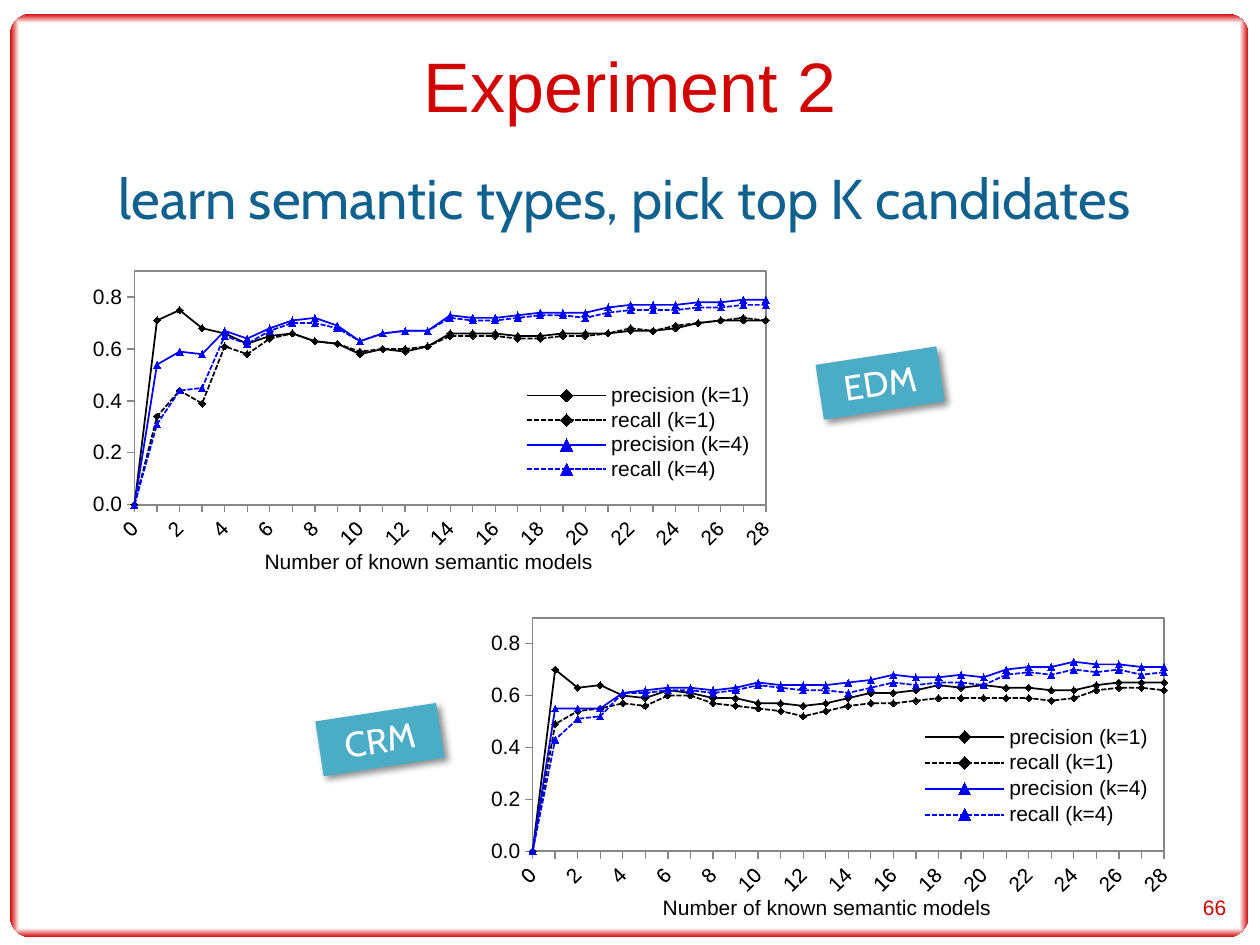
from lxml import etree
from pptx import Presentation
from pptx.chart.data import CategoryChartData
from pptx.dml.color import RGBColor
from pptx.enum.chart import XL_CHART_TYPE, XL_LEGEND_POSITION, XL_MARKER_STYLE, XL_TICK_MARK
from pptx.enum.dml import MSO_LINE
from pptx.enum.shapes import MSO_SHAPE
from pptx.enum.text import MSO_ANCHOR, PP_ALIGN
from pptx.oxml.ns import qn
from pptx.util import Inches, Pt

RED, BLUE, BLACK, WHITE, GRAY = "D10202", "0000FF", "000000", "FFFFFF", "868686"
MODEL_COUNTS = [float(count) for count in range(29)]
SERIES_STYLES = [  # name, colour, marker, dash
    ("precision (k=1)", BLACK, XL_MARKER_STYLE.DIAMOND, MSO_LINE.SOLID),
    ("recall (k=1)", BLACK, XL_MARKER_STYLE.DIAMOND, MSO_LINE.SQUARE_DOT),
    ("precision (k=4)", BLUE, XL_MARKER_STYLE.TRIANGLE, MSO_LINE.SOLID),
    ("recall (k=4)", BLUE, XL_MARKER_STYLE.TRIANGLE, MSO_LINE.SQUARE_DOT),
]
EDM_SCORES = [
    [0, 0.71, 0.75, 0.68, 0.66, 0.62, 0.65, 0.66, 0.63, 0.62, 0.58, 0.6, 0.59, 0.61, 0.66,
     0.66, 0.66, 0.65, 0.65, 0.66, 0.66, 0.66, 0.67, 0.67, 0.68, 0.7, 0.71, 0.71, 0.71],
    [0, 0.34, 0.44, 0.39, 0.61, 0.58, 0.64, 0.66, 0.63, 0.62, 0.59, 0.6, 0.6, 0.61, 0.65,
     0.65, 0.65, 0.64, 0.64, 0.65, 0.65, 0.66, 0.68, 0.67, 0.69, 0.7, 0.71, 0.72, 0.71],
    [0, 0.54, 0.59, 0.58, 0.67, 0.64, 0.68, 0.71, 0.72, 0.69, 0.63, 0.66, 0.67, 0.67, 0.73,
     0.72, 0.72, 0.73, 0.74, 0.74, 0.74, 0.76, 0.77, 0.77, 0.77, 0.78, 0.78, 0.79, 0.79],
    [0, 0.31, 0.44, 0.45, 0.65, 0.62, 0.67, 0.7, 0.7, 0.68, 0.63, 0.66, 0.67, 0.67, 0.72,
     0.71, 0.71, 0.72, 0.73, 0.73, 0.72, 0.74, 0.75, 0.75, 0.75, 0.76, 0.76, 0.77, 0.77],
]
CRM_SCORES = [
    [0, 0.7, 0.63, 0.64, 0.6, 0.59, 0.62, 0.61, 0.59, 0.59, 0.57, 0.57, 0.56, 0.57, 0.59,
     0.61, 0.61, 0.62, 0.64, 0.63, 0.64, 0.63, 0.63, 0.62, 0.62, 0.64, 0.65, 0.65, 0.65],
    [0, 0.49, 0.54, 0.55, 0.57, 0.56, 0.6, 0.6, 0.57, 0.56, 0.55, 0.54, 0.52, 0.54, 0.56,
     0.57, 0.57, 0.58, 0.59, 0.59, 0.59, 0.59, 0.59, 0.58, 0.59, 0.62, 0.63, 0.63, 0.62],
    [0, 0.55, 0.55, 0.55, 0.61, 0.62, 0.63, 0.63, 0.62, 0.63, 0.65, 0.64, 0.64, 0.64, 0.65,
     0.66, 0.68, 0.67, 0.67, 0.68, 0.67, 0.7, 0.71, 0.71, 0.73, 0.72, 0.72, 0.71, 0.71],
    [0, 0.43, 0.51, 0.52, 0.61, 0.61, 0.62, 0.62, 0.61, 0.62, 0.64, 0.63, 0.62, 0.62, 0.61,
     0.63, 0.65, 0.64, 0.65, 0.65, 0.64, 0.68, 0.69, 0.68, 0.7, 0.69, 0.7, 0.68, 0.69],
]


def color(hex_string):
    return RGBColor.from_string(hex_string)


def inches(box):
    return [Inches(length) for length in box]


def add_xml(parent, tag, **attributes):
    return etree.SubElement(parent, qn(tag), {key: str(val) for key, val in attributes.items()})


def write(shape, text, size, font="Arial", fill=BLACK, align=PP_ALIGN.CENTER, anchor=MSO_ANCHOR.TOP):
    frame = shape.text_frame
    frame.word_wrap = True
    frame.vertical_anchor = anchor
    paragraph = frame.paragraphs[0]
    paragraph.alignment = align
    run = paragraph.add_run()
    run.text = text
    format_font(run.font, size, font, fill)


def format_font(font, size, name="Arial", fill=BLACK, bold=False):
    font.size, font.name, font.bold = Pt(size), name, bold
    font.color.rgb = color(fill)


def add_frame(slide, box):
    frame = slide.shapes.add_shape(MSO_SHAPE.ROUNDED_RECTANGLE, *inches(box))
    frame.adjustments[0] = 0.023
    frame.shadow.inherit = False
    frame.line.fill.background()
    frame.fill.gradient()
    for stop, position, hex_string in zip(frame.fill.gradient_stops, (0.98, 1), (WHITE, RED)):
        stop.position = position
        stop.color.rgb = color(hex_string)
    # Gradient runs outward from the centre to the edges
    gradient = frame.element.spPr.find(qn("a:gradFill"))
    gradient.remove(gradient.find(qn("a:lin")))
    outward = add_xml(gradient, "a:path", path="rect")
    add_xml(outward, "a:fillToRect", l=50000, t=50000, r=50000, b=50000)


def add_heading(slide, title_box, subtitle_box):
    title = slide.shapes.title
    title.left, title.top, title.width, title.height = inches(title_box)
    write(title, "Experiment 2", 40, fill=RED, anchor=MSO_ANCHOR.MIDDLE)
    subtitle = slide.shapes.add_textbox(*inches(subtitle_box))
    write(subtitle, "learn semantic types, pick top K candidates", 32, "Cabin", "11618F")


def place(part, index, x, y, w=None, h=None, inner=False):
    """Set the manual layout of a chart part as fractions of the chart."""
    for old_layout in part.findall(qn("c:layout")):
        part.remove(old_layout)
    layout = etree.Element(qn("c:layout"))
    manual = add_xml(layout, "c:manualLayout")
    if inner:
        add_xml(manual, "c:layoutTarget", val="inner")
    add_xml(manual, "c:xMode", val="edge")
    add_xml(manual, "c:yMode", val="edge")
    for key, value in (("x", x), ("y", y), ("w", w), ("h", h)):
        if value is not None:
            add_xml(manual, f"c:{key}", val=value)
    part.insert(index, layout)


def format_axes(chart):
    counts, scores = chart.category_axis, chart.value_axis
    for axis, number_format in ((counts, "0"), (scores, "0.0")):
        axis.major_tick_mark = XL_TICK_MARK.OUTSIDE
        axis.has_major_gridlines = False
        axis.format.line.color.rgb = color(GRAY)
        axis.tick_labels.number_format = number_format
        axis.tick_labels.number_format_is_linked = False
        format_font(axis.tick_labels.font, 12)
    scores.minimum_scale, scores.maximum_scale, scores.major_unit = 0, 0.9, 0.2

    counts.has_title = True
    caption = counts.axis_title.text_frame.paragraphs[0].add_run()
    caption.text = "Number of known semantic models"
    format_font(caption.font, 12)
    place(counts.axis_title._element, 1, 0.25, 0.9)

    # Slanted label on every second count, first point on the value axis
    counts_xml, scores_xml = counts._element, scores._element
    counts_xml.find(qn("c:txPr")).find(qn("a:bodyPr")).set("rot", "-2700000")
    skip = etree.Element(qn("c:tickLblSkip"), val="2")
    counts_xml.find(qn("c:noMultiLvlLbl")).addprevious(skip)
    for old_crossing in scores_xml.findall(qn("c:crossBetween")):
        scores_xml.remove(old_crossing)
    scores_xml.find(qn("c:crosses")).addnext(etree.Element(qn("c:crossBetween"), val="midCat"))


def add_score_chart(slide, box, scores, legend_box):
    data = CategoryChartData(number_format="0.0")
    data.categories = MODEL_COUNTS
    for (name, *_), values in zip(SERIES_STYLES, scores):
        data.add_series(name, values)
    chart = slide.shapes.add_chart(XL_CHART_TYPE.LINE_MARKERS, *inches(box), data).chart
    chart.has_title = False
    format_font(chart.font, 14)
    chart.plots[0].vary_by_categories = False

    # Lines and markers
    for series, (_, hex_string, marker, dash) in zip(chart.plots[0].series, SERIES_STYLES):
        series.smooth = False
        series.format.line.width = Pt(1)
        series.format.line.color.rgb = color(hex_string)
        series.format.line.dash_style = dash
        series.marker.style, series.marker.size = marker, 4
        series.marker.format.fill.solid()
        series.marker.format.fill.fore_color.rgb = color(hex_string)
        series.marker.format.line.color.rgb = color(hex_string)

    format_axes(chart)

    # Legend
    chart.has_legend = True
    chart.legend.position = XL_LEGEND_POSITION.RIGHT
    chart.legend.include_in_layout = True
    format_font(chart.legend.font, 12)
    place(chart.legend._element, 1, *legend_box)

    # Plot area with a thin border
    plot_area = chart._chartSpace.chart.plotArea
    place(plot_area, 0, 0.071, 0.059, 0.895, 0.718, inner=True)
    border = add_xml(add_xml(plot_area, "c:spPr"), "a:ln", w=Pt(1))
    add_xml(add_xml(border, "a:solidFill"), "a:srgbClr", val=GRAY)


def add_badge(slide, box, text):
    badge = slide.shapes.add_shape(MSO_SHAPE.RECTANGLE, *inches(box))
    badge.rotation = 351.3
    badge.fill.solid()
    badge.fill.fore_color.rgb = color("4BACC6")
    badge.line.fill.background()
    badge.shadow.inherit = False
    effects = badge.element.spPr.find(qn("a:effectLst"))
    shadow = add_xml(effects, "a:outerShdw", blurRad=Pt(4), dist=Pt(3), dir=45 * 60000,
                     algn="tl", rotWithShape=0)
    add_xml(add_xml(shadow, "a:srgbClr", val=BLACK), "a:alpha", val=43000)
    write(badge, text, 20, "Cabin", WHITE)


def add_slide_number(slide, box):
    number = slide.shapes.add_textbox(*inches(box))
    write(number, "66", 12, fill=RED, align=PP_ALIGN.RIGHT, anchor=MSO_ANCHOR.MIDDLE)


def main():
    deck = Presentation()
    deck.slide_width, deck.slide_height = Inches(10), Inches(7.5)
    slide = deck.slides.add_slide(deck.slide_layouts[5])
    add_frame(slide, (0.08, 0.11, 9.83, 7.33))
    add_heading(slide, (0.5, 0.17, 9, 1), (0.25, 1.25, 9.42, 0.75))
    add_slide_number(slide, (9.25, 7.04, 0.58, 0.32))
    add_score_chart(slide, (0.67, 2, 5.6, 2.6), EDM_SCORES, (0.6, 0.4, 0.37, 0.31))
    add_score_chart(slide, (3.83, 4.75, 5.6, 2.6), CRM_SCORES, (0.6, 0.38, 0.37, 0.33))
    add_badge(slide, (6.5, 2.82, 0.97, 0.44), "EDM")
    add_badge(slide, (2.53, 5.65, 0.97, 0.44), "CRM")
    # Frame lies behind the title
    title = slide.shapes.title.element
    title.getparent().append(title)
    deck.save("out.pptx")


if __name__ == "__main__":
    main()
